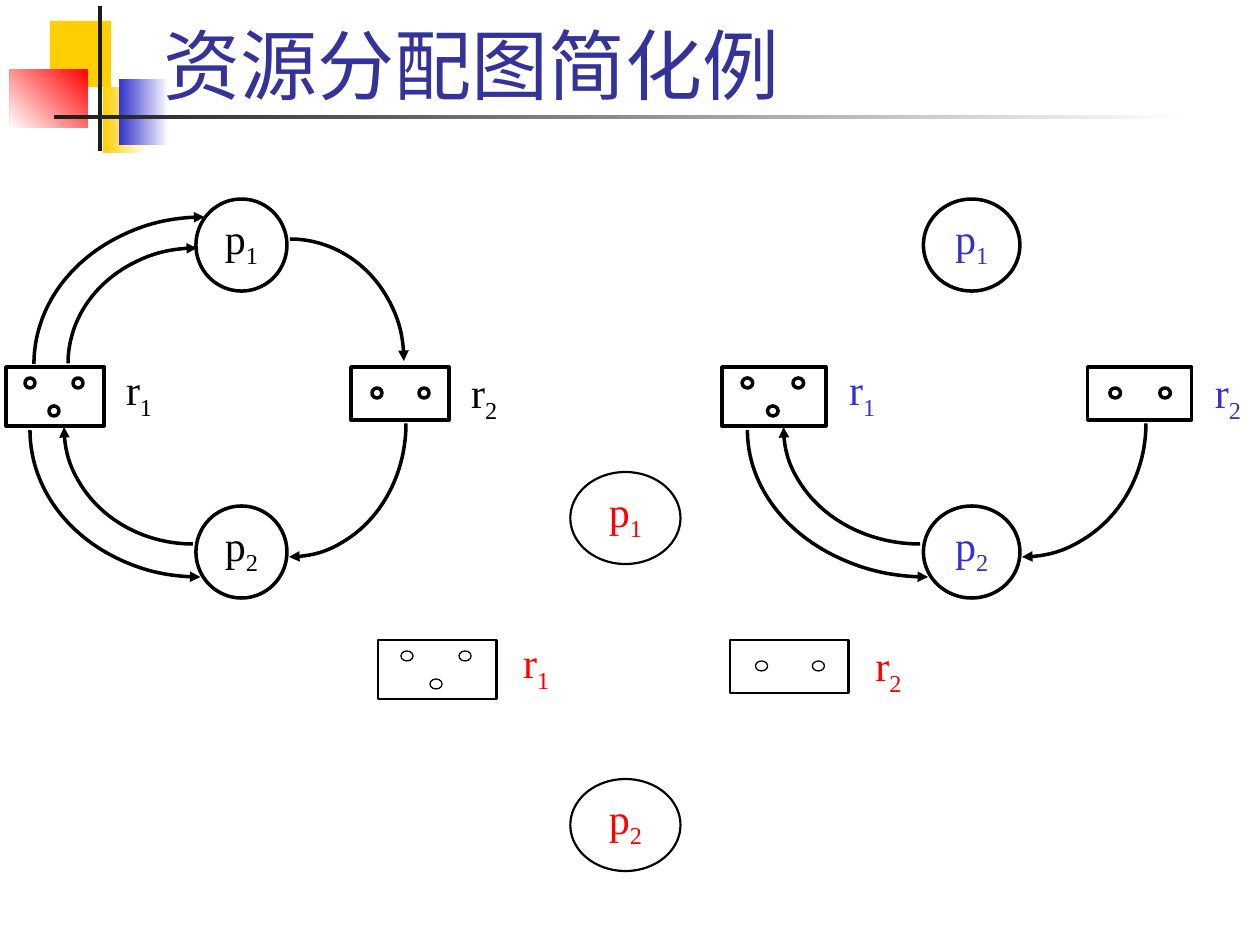
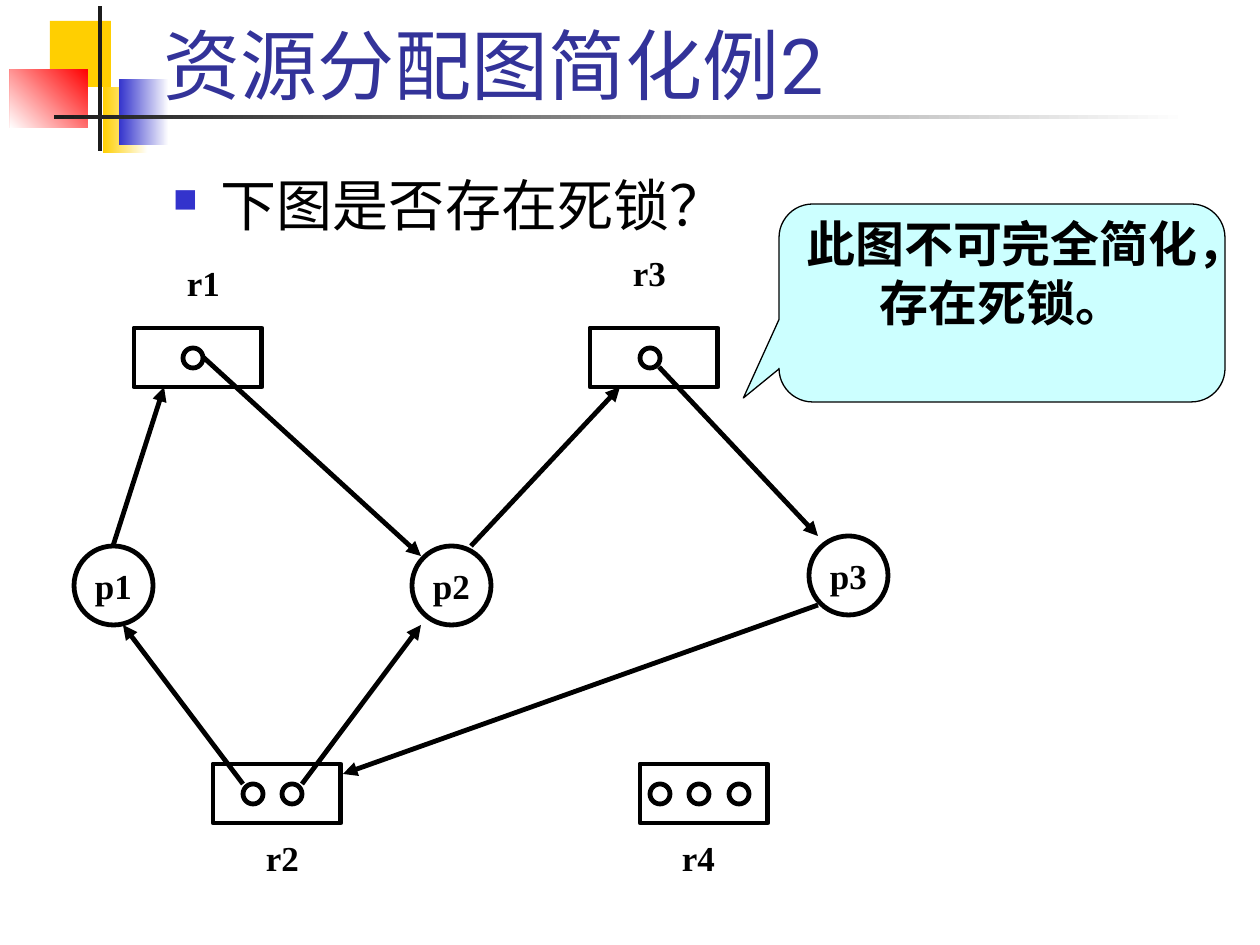
from lxml import etree
from pptx import Presentation
from pptx import util as u
from pptx.dml import color
from pptx.enum import lang, shapes, text
from pptx.oxml import ns

SCALE = 914400 / 126
SHAPE = shapes.MSO_SHAPE
ALIGN = text.PP_ALIGN
BLACK, WHITE, BLUE, RED = "000000", "FFFFFF", "3333CC", "FF0000"
YELLOW, INK, TITLE_BLUE, PALE_CYAN = "FFCF01", "1C1C1C", "333399", "CCFFFF"
SANS, SERIF = "Roboto", "Times New Roman"
TITLE_FONT = {"name": SANS, "size": u.Pt(44), "bold": False}
QUESTION_FONT = {"name": SANS, "size": u.Pt(32), "bold": False}
ANSWER_FONT = {"name": SANS, "size": u.Pt(28), "bold": True}
NODE_FONT = {"name": SERIF, "size": u.Pt(24), "bold": False}
LABEL_FONT = {"name": SERIF, "size": u.Pt(20), "bold": True}
ARC_START = {"top left": 180, "top right": 270, "bottom right": 0, "bottom left": 90}

REQUEST_ARCS = [
    ("top left", (62, 49, 258, 231), "tailEnd"),
    ("top left", (28, 18, 341, 294), "tailEnd"),
    ("top right", (170, 40, 228, 244), "tailEnd"),
]
REMAINING_ARCS = [
    ("bottom right", (166, 91, 234, 267), "tailEnd"),
    ("bottom left", (58, 111, 258, 234), "tailEnd"),
    ("bottom left", (24, 84, 341, 294), "headEnd"),
]
RESOURCES = [
    ("r1", (134, 328), [49], (40, -70)),
    ("r2", (213, 764), [30, 69], (40, 69)),
    ("r3", (590, 328), [50], (30, -80)),
    ("r4", (640, 764), [10, 49, 89], (29, 69)),
]
PROCESSES = [("p1", (74, 546)), ("p2", (412, 546)), ("p3", (809, 536))]
EDGES = [
    (302, 784, 421, 625),
    (243, 784, 123, 625),
    (113, 546, 164, 387),
    (203, 357, 421, 556),
    (471, 546, 620, 387),
    (659, 367, 818, 536),
    (818, 605, 343, 774),
]


def px(*lengths):
    """Turn lengths in px into EMU."""
    return [u.Emu(round(length * SCALE)) for length in lengths]


def rgb(hex_code):
    """Turn a hex string into a colour."""
    return color.RGBColor.from_string(hex_code)


def apply(target, values):
    """Set every attribute named in a dict."""
    for key, value in values.items():
        setattr(target, key, value)


def child(parent, tag, **attributes):
    """Append a DrawingML element to a parent."""
    return etree.SubElement(parent, ns.qn(f"a:{tag}"), attributes)


def draw(slide, preset, box, fill=None, weight=None):
    """Add a preset shape with an optional fill and black outline."""
    shape = slide.shapes.add_shape(preset, *px(*box))
    shape.shadow.inherit = False
    if fill:
        shape.fill.solid()
        shape.fill.fore_color.rgb = rgb(fill)
    else:
        shape.fill.background()
    if weight:
        shape.line.color.rgb = rgb(BLACK)
        shape.line.width = u.Pt(weight)
    else:
        shape.line.fill.background()
    return shape


def write(shape, words, font, hue, align=ALIGN.LEFT, anchor=text.MSO_ANCHOR.TOP,
          insets=(0, 0), wrap=True, subscript=""):
    """Fill a shape with one paragraph and an optional subscript."""
    side, edge = px(*insets)
    frame = shape.text_frame
    apply(frame, {
        "word_wrap": wrap, "auto_size": text.MSO_AUTO_SIZE.NONE, "vertical_anchor": anchor,
        "margin_left": side, "margin_right": side, "margin_top": edge, "margin_bottom": edge,
    })
    paragraph = frame.paragraphs[0]
    apply(paragraph, {"alignment": align, "space_before": u.Pt(0)})
    for part in filter(None, (words, subscript)):
        run = paragraph.add_run()
        run.text = part
        apply(run.font, font)
        run.font.color.rgb = rgb(hue)
        run.font.language_id = lang.MSO_LANGUAGE_ID.SIMPLIFIED_CHINESE
    if subscript:
        run._r.get_or_add_rPr().set("baseline", "-25000")
    return paragraph


def add_arrowhead(line, end="tailEnd"):
    """Put a triangle on one end of a line."""
    child(line._get_or_add_ln(), end, type="triangle")


def header(slide, title):
    """Draw the shared corner ornament and rule, then the title."""
    bars = [
        ((50, 21, 61, 66), YELLOW, None, 0),
        ((103, 87, 45, 66), YELLOW, WHITE, 0),
        ((119, 79, 50, 66), BLUE, WHITE, 0),
        ((10, 69, 78, 59), RED, WHITE, 225),
        ((98, 6, 4, 145), INK, None, 0),
        ((54, 115, 1134, 4), INK, WHITE, 0),
    ]
    for box, start, finish, angle in bars:
        bar = draw(slide, SHAPE.RECTANGLE, box, start)
        if finish:
            bar.fill.gradient()
            bar.fill.gradient_angle = angle
            for stop, hue in zip(bar.fill.gradient_stops, (start, finish)):
                stop.color.rgb = rgb(hue)
    heading = slide.shapes.title
    apply(heading, dict(zip(("left", "top", "width", "height"), px(151, 21, 1074, 95))))
    write(heading, title, TITLE_FONT, TITLE_BLUE, anchor=text.MSO_ANCHOR.BOTTOM, insets=(13, 6))
    slide.shapes._spTree.append(heading._element)


def allocation_graph(slide, origin, stretch, hue, arcs=(), columns=(190, 345),
                     weight=2, unit_weight=2):
    """Draw two processes, two resources and their arcs from an origin."""
    def place(x, y, width, height):
        return origin[0] + x * stretch, origin[1] + y, width * stretch, height

    process_x, second_x = columns
    for number, y in (("1", 0), ("2", 307)):
        process = draw(slide, SHAPE.OVAL, place(process_x, y, 91, 92), WHITE, weight)
        write(process, "p", NODE_FONT, hue, ALIGN.CENTER, subscript=number)
    resources = [
        ("1", 0, 59, 165, [(19, 11), (67, 11), (43, 39)]),
        ("2", second_x, 53, 168, [(21, 21), (68, 21)]),
    ]
    for number, x, height, label_y, units in resources:
        draw(slide, SHAPE.RECTANGLE, place(x, 168, 98, height), WHITE, weight)
        for dx, dy in units:
            draw(slide, SHAPE.OVAL, place(x + dx, 168 + dy, 10, 10), WHITE, unit_weight)
        label = slide.shapes.add_textbox(*px(*place(x + 120, label_y, 34, 53)))
        write(label, "r", NODE_FONT, hue, subscript=number)
    for quadrant, box, end in arcs:
        arc = draw(slide, SHAPE.ARC, place(*box), weight=weight)
        start = ARC_START[quadrant]
        for index, angle in enumerate((start, (start + 90) % 360)):
            arc.adjustments[index] = angle * 0.6
        add_arrowhead(arc.line, end)


def question(slide, box, words):
    """Write the bulleted question."""
    body = slide.shapes.add_textbox(*px(*box))
    indent = px(48)[0]
    properties = body.text_frame.paragraphs[0]._p.get_or_add_pPr()
    properties.set("marL", str(indent))
    properties.set("indent", str(-indent))
    child(child(properties, "buClr"), "srgbClr", val=BLUE)
    child(properties, "buSzPct", val="60000")
    child(properties, "buChar", char="■")
    write(body, words, QUESTION_FONT, BLACK, insets=(13, 6))


def deadlock_graph(slide, origin):
    """Draw resources, processes and the arrows between them."""
    left, top = origin
    centred = {"align": ALIGN.CENTER, "anchor": text.MSO_ANCHOR.MIDDLE,
               "insets": (13, 6), "wrap": False}
    for name, (x, y), units, (label_dx, label_dy) in RESOURCES:
        x, y = left + x, top + y
        draw(slide, SHAPE.RECTANGLE, (x, y, 128, 59), weight=2.75)
        for dx in units:
            draw(slide, SHAPE.OVAL, (x + dx, y + 20, 20, 20), weight=2.75)
        label = slide.shapes.add_textbox(*px(x + label_dx, y + label_dy, 59, 49))
        write(label, name, LABEL_FONT, BLACK, **centred)
    for name, (x, y) in PROCESSES:
        process = draw(slide, SHAPE.OVAL, (left + x, top + y, 79, 79), weight=2.75)
        write(process, name, LABEL_FONT, BLACK, **centred)
    for x1, y1, x2, y2 in EDGES:
        edge = slide.shapes.add_connector(
            shapes.MSO_CONNECTOR.STRAIGHT, *px(left + x1, top + y1, left + x2, top + y2))
        edge.line.color.rgb = rgb(BLACK)
        edge.line.width = u.Pt(2.75)
        add_arrowhead(edge.line)
        child(edge._element.spPr, "effectLst")


def answer(slide, box, words):
    """Write the conclusion in a callout."""
    callout = draw(slide, SHAPE.ROUNDED_RECTANGULAR_CALLOUT, box, PALE_CYAN, 0.75)
    for index, value in enumerate((-0.58, 0.48, 0.17)):
        callout.adjustments[index] = value
    write(callout, words, ANSWER_FONT, BLACK, ALIGN.CENTER)


def simplification_slide(slide):
    """Show the graph being reduced in three stages."""
    header(slide, "资源分配图简化例")
    allocation_graph(slide, (6, 199), 1, BLACK, REQUEST_ARCS + REMAINING_ARCS)
    allocation_graph(slide, (722, 199), 1.06, BLUE, REMAINING_ARCS)
    allocation_graph(slide, (378, 472), 1.21, RED, columns=(159, 291),
                     weight=1.25, unit_weight=0.75)


def deadlock_slide(slide):
    """Ask whether the graph is deadlocked and answer."""
    header(slide, "资源分配图简化例2")
    question(slide, (160, 165, 593, 107), "下图是否存在死锁？")
    deadlock_graph(slide, (0, 0))
    answer(slide, (779, 204, 446, 198), "此图不可完全简化，存在死锁。")


def main():
    """Build and save the presentation."""
    deck = Presentation()
    deck.slide_width, deck.slide_height = px(1260, 945)
    for build in (simplification_slide, deadlock_slide):
        build(deck.slides.add_slide(deck.slide_layouts[5]))
    deck.save("out.pptx")


if __name__ == "__main__":
    main()
